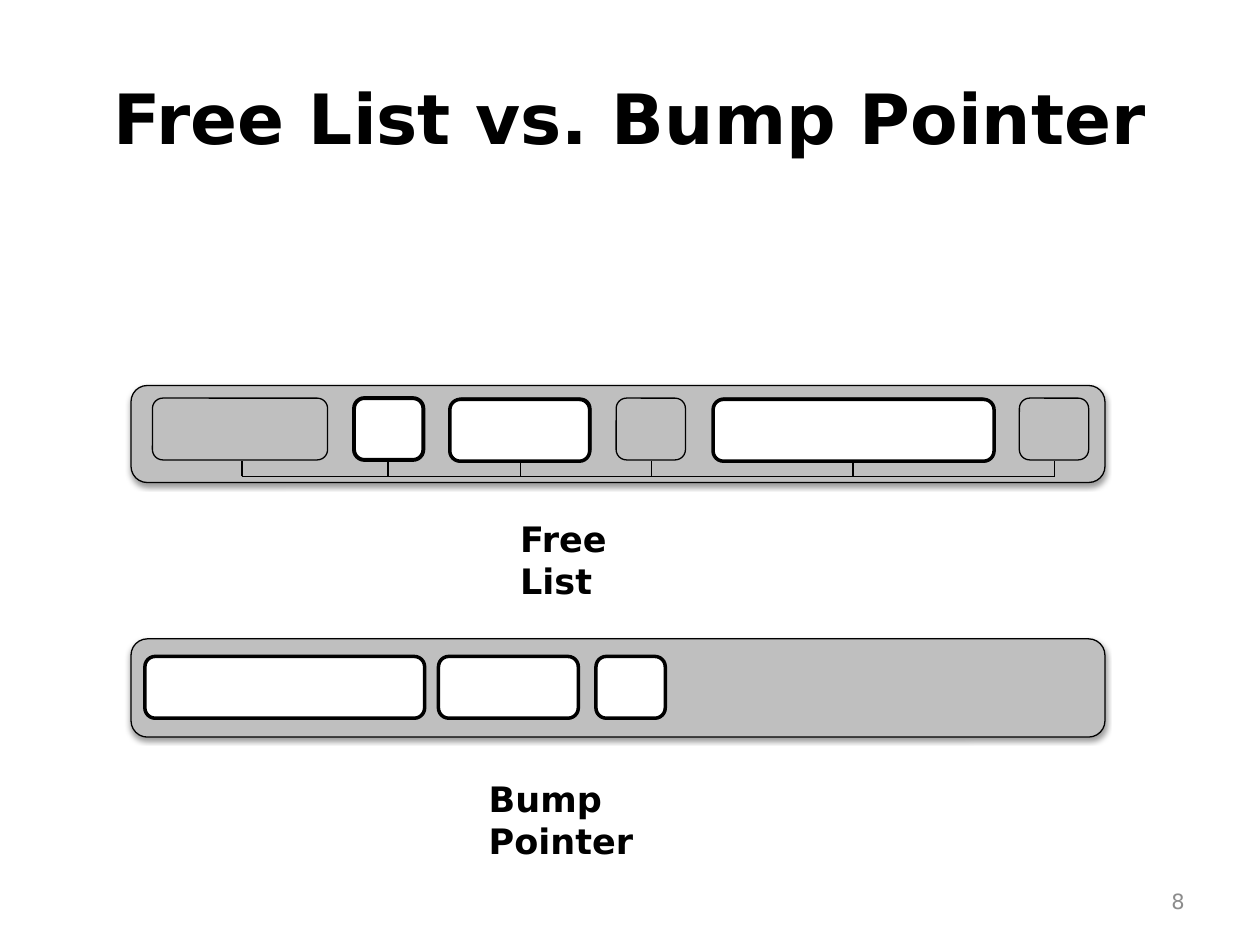
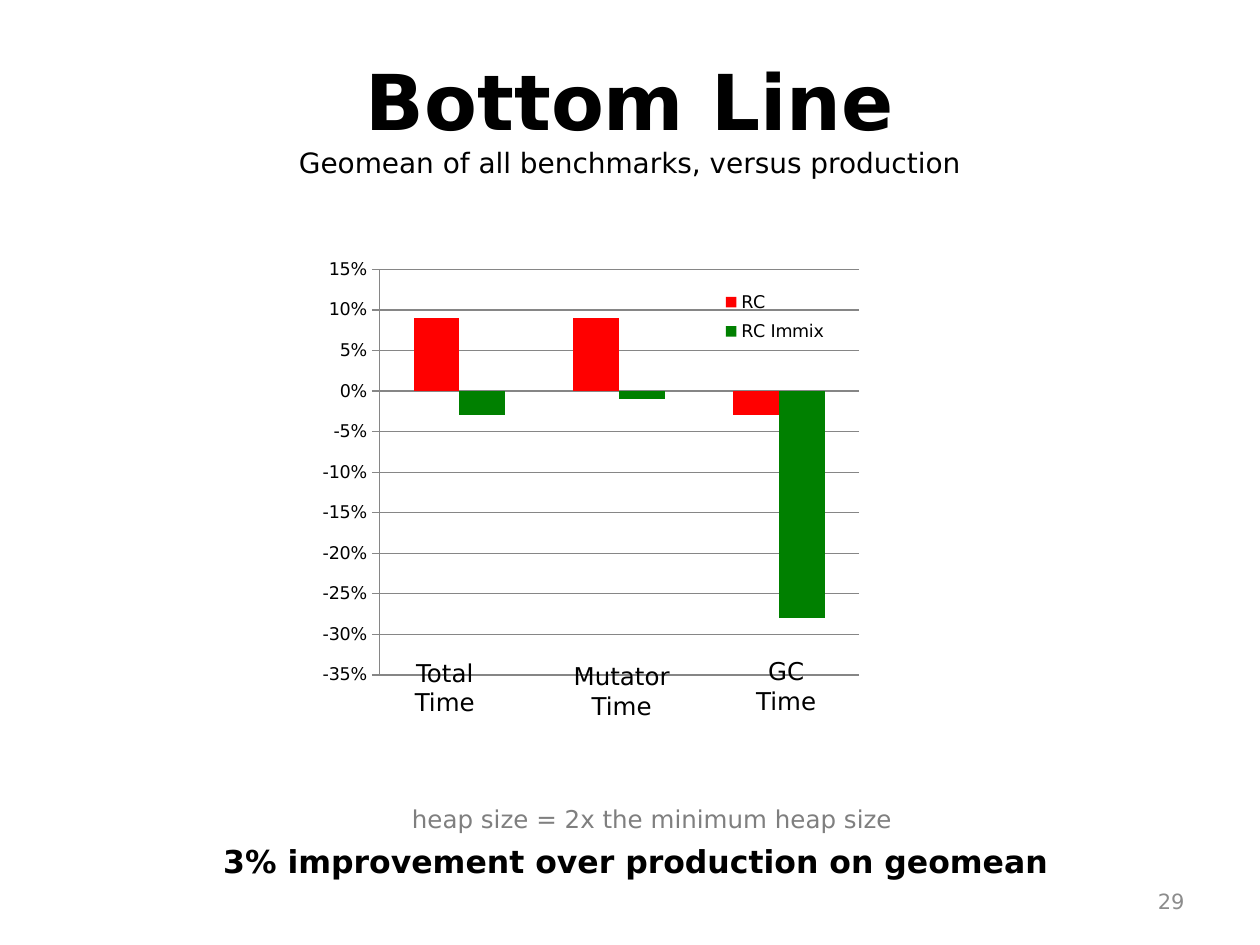
"""Build two slides: heap allocation layouts and a benchmark summary chart."""
import pptx
import pptx.chart.data
import pptx.dml.color
import pptx.enum.chart
import pptx.enum.shapes
import pptx.enum.text
import pptx.oxml
import pptx.oxml.ns
import pptx.util
import lxml.etree

Inches, Pt = pptx.util.Inches, pptx.util.Pt
ALIGN = pptx.enum.text.PP_ALIGN
ANCHOR = pptx.enum.text.MSO_ANCHOR
ROUNDED = pptx.enum.shapes.MSO_SHAPE.ROUNDED_RECTANGLE
STRAIGHT = pptx.enum.shapes.MSO_CONNECTOR.STRAIGHT

FONT = "DejaVu Sans"
BLACK, WHITE, HEAP_GREY = "000000", "FFFFFF", "BFBFBF"
NUMBER_GREY, NOTE_GREY, GRID_GREY = "8C8C8C", "7F7F7F", "868686"

CELL_HEIGHT = 0.49
HEAP_LEFT, HEAP_WIDTH = 1.04, 7.73
FREE_LIST_HEAP, BUMP_HEAP = (3.06, 0.77), (5.07, 0.78)
FREE_LIST_CELLS = [(1.21, 1.39), (3.58, 1.11), (4.89, 0.55), (5.66, 2.22), (8.09, 0.55)]
LINK_STOPS = [1.92, 3.08, 4.13, 5.17, 6.77, 8.37]
LINK_TOP, LINK_BOTTOM = 3.66, 3.78
OBJECTS = [
    (2.81, 3.16, 0.55, 2.25), (3.57, 3.17, 1.11, 2), (5.66, 3.17, 2.23, 2),
    (1.15, 5.21, 2.22, 2), (3.48, 5.21, 1.11, 2), (4.73, 5.21, 0.55, 2),
]
HEAP_LABELS = [("Free List", (4.03, 4.06, 1.17, 0.44)),
               ("Bump Pointer", (3.78, 6.12, 1.81, 0.44))]

SERIES = [("RC", (0.09, 0.09, -0.03), "FF0000"),
          ("RC Immix", (-0.03, -0.01, -0.28), "008000")]
TIME_LABELS = [("Total\vTime", (3.19, 5.17, 0.68, 0.57)),
               ("Mutator\vTime", (4.45, 5.2, 0.97, 0.57)),
               ("GC\vTime", (5.9, 5.16, 0.68, 0.57))]
CHART_BOX = (2.5, 1.96, 5, 3.58)
PLOT_LAYOUT = (0.102, 0.05, 0.762, 0.899)
LEGEND_LAYOUT = (0.64, 0.08, 0.18, 0.15)


def rgb(code):
    return pptx.dml.color.RGBColor.from_string(code)


def inches(box):
    return [Inches(length) for length in box]


def style(font, size, color=BLACK, bold=False):
    font.name, font.size, font.bold = FONT, Pt(size), bold
    font.color.rgb = rgb(color)


def add_text(slide, text, box, size, color=BLACK, bold=False,
             align=ALIGN.LEFT, anchor=ANCHOR.TOP, wrap=True):
    frame = slide.shapes.add_textbox(*inches(box)).text_frame
    frame.text, frame.word_wrap, frame.vertical_anchor = text, wrap, anchor
    paragraph = frame.paragraphs[0]
    paragraph.alignment = align
    for run in paragraph.runs:
        style(run.font, size, color, bold)


def add_slide(title, title_size, number, subtitle=None):
    slide = deck.slides.add_slide(deck.slide_layouts[5])
    heading = slide.shapes.title
    heading.left, heading.top, heading.width, heading.height = inches((0.5, 0.3, 9, 1.25))
    frame = heading.text_frame
    frame.text = f"{title}\v{subtitle}" if subtitle else title
    frame.auto_size = pptx.enum.text.MSO_AUTO_SIZE.NONE
    frame.vertical_anchor = ANCHOR.MIDDLE
    frame.paragraphs[0].alignment = ALIGN.CENTER
    for run, size, bold in zip(frame.paragraphs[0].runs, (title_size, 16), (True, False)):
        style(run.font, size, bold=bold)
    add_text(slide, number, (7.17, 6.95, 2.33, 0.4), 12, NUMBER_GREY,
             align=ALIGN.RIGHT, anchor=ANCHOR.MIDDLE)
    return slide


def add_block(shapes, box, fill=None, weight=0.75):
    block = shapes.add_shape(ROUNDED, *inches(box))
    block.shadow.inherit = False
    if fill:
        block.fill.solid()
        block.fill.fore_color.rgb = rgb(fill)
    else:
        block.fill.background()
    block.line.color.rgb = rgb(BLACK)
    block.line.width = Pt(weight)
    return block


def add_heap(shapes, top, height):
    heap = add_block(shapes, (HEAP_LEFT, top, HEAP_WIDTH, height), HEAP_GREY)
    effects = heap._element.spPr.find(pptx.oxml.ns.qn("a:effectLst"))
    effects.append(pptx.oxml.parse_xml(
        f'<a:outerShdw {pptx.oxml.ns.nsdecls("a")} blurRad="{Pt(3.1)}" dist="{Pt(1.6)}" '
        f'dir="5400000" rotWithShape="0"><a:srgbClr val="{BLACK}">'
        '<a:alpha val="38000"/></a:srgbClr></a:outerShdw>'))


def add_link(shapes, start, end):
    link = shapes.add_connector(STRAIGHT, *inches(start + end))
    link.line.color.rgb = rgb(BLACK)
    link.line.width = Pt(0.75)
    lxml.etree.SubElement(link._element.spPr, pptx.oxml.ns.qn("a:effectLst"))


def make_layout(box, inner=False):
    target = '<c:layoutTarget val="inner"/>' if inner else ""
    modes = "".join(f'<c:{axis}Mode val="edge"/>' for axis in "xy")
    sizes = "".join(f'<c:{side} val="{value}"/>' for side, value in zip("xywh", box))
    return pptx.oxml.parse_xml(f'<c:layout {pptx.oxml.ns.nsdecls("c")}><c:manualLayout>'
                               f'{target}{modes}{sizes}</c:manualLayout></c:layout>')


def place(element, layout, index):
    for old in element.findall(pptx.oxml.ns.qn("c:layout")):
        element.remove(old)
    element.insert(index, layout)


def add_benchmark_chart(slide):
    results = pptx.chart.data.CategoryChartData(number_format="0%")
    results.categories = ["1", "2", "3"]
    for name, values, _ in SERIES:
        results.add_series(name, values)
    chart = slide.shapes.add_chart(pptx.enum.chart.XL_CHART_TYPE.COLUMN_CLUSTERED,
                                   *inches(CHART_BOX), results).chart
    style(chart.font, 10)
    chart.has_title = False
    plot = chart.plots[0]
    plot.gap_width, plot.overlap, plot.vary_by_categories = 150, 0, False
    for series, (_, _, color) in zip(plot.series, SERIES):
        series.invert_if_negative = False
        series.format.fill.solid()
        series.format.fill.fore_color.rgb = rgb(color)
    chart.category_axis.visible = False
    axis = chart.value_axis
    axis.minimum_scale, axis.maximum_scale, axis.major_unit = -0.35, 0.15, 0.05
    axis.major_tick_mark = pptx.enum.chart.XL_TICK_MARK.OUTSIDE
    axis.tick_labels.number_format = "0%"
    axis.tick_labels.number_format_is_linked = False
    axis.has_major_gridlines = True
    for line in (axis.format.line, axis.major_gridlines.format.line):
        line.color.rgb = rgb(GRID_GREY)
        line.width = Pt(0.75)
    chart.has_legend = True
    legend = chart.legend
    legend.position = pptx.enum.chart.XL_LEGEND_POSITION.RIGHT
    legend.include_in_layout = False
    style(legend.font, 10)
    place(legend._element, make_layout(LEGEND_LAYOUT), 1)
    place(chart._chartSpace.chart.plotArea, make_layout(PLOT_LAYOUT, True), 0)


deck = pptx.Presentation()
deck.slide_width, deck.slide_height = inches((10, 7.5))

allocation = add_slide("Free List vs. Bump Pointer", 39.6, "8")
free_list = allocation.shapes.add_group_shape().shapes
add_heap(free_list, *FREE_LIST_HEAP)
for left, width in FREE_LIST_CELLS:
    add_block(free_list, (left, 3.16, width, CELL_HEIGHT))
add_link(free_list, (LINK_STOPS[0], LINK_BOTTOM), (LINK_STOPS[-1], LINK_BOTTOM))
for stop in LINK_STOPS:
    add_link(free_list, (stop, LINK_BOTTOM), (stop, LINK_TOP))
add_heap(allocation.shapes, *BUMP_HEAP)
for left, top, width, weight in OBJECTS:
    add_block(allocation.shapes, (left, top, width, CELL_HEIGHT), WHITE, weight)
for label, box in HEAP_LABELS:
    add_text(allocation, label, box, 20, bold=True)

summary = add_slide("Bottom Line", 44, "29", "Geomean of all benchmarks, versus production")
add_benchmark_chart(summary)
for label, box in TIME_LABELS:
    add_text(summary, label, box, 14, align=ALIGN.CENTER, wrap=False)
add_text(summary, "heap size = 2x the minimum heap size", (2.42, 6.33, 5.51, 0.34), 14,
         NOTE_GREY, align=ALIGN.CENTER)
add_text(summary, "3% improvement over production on geomean", (0.2, 6.63, 9.69, 0.4), 18,
         bold=True, align=ALIGN.CENTER)

deck.save("out.pptx")
